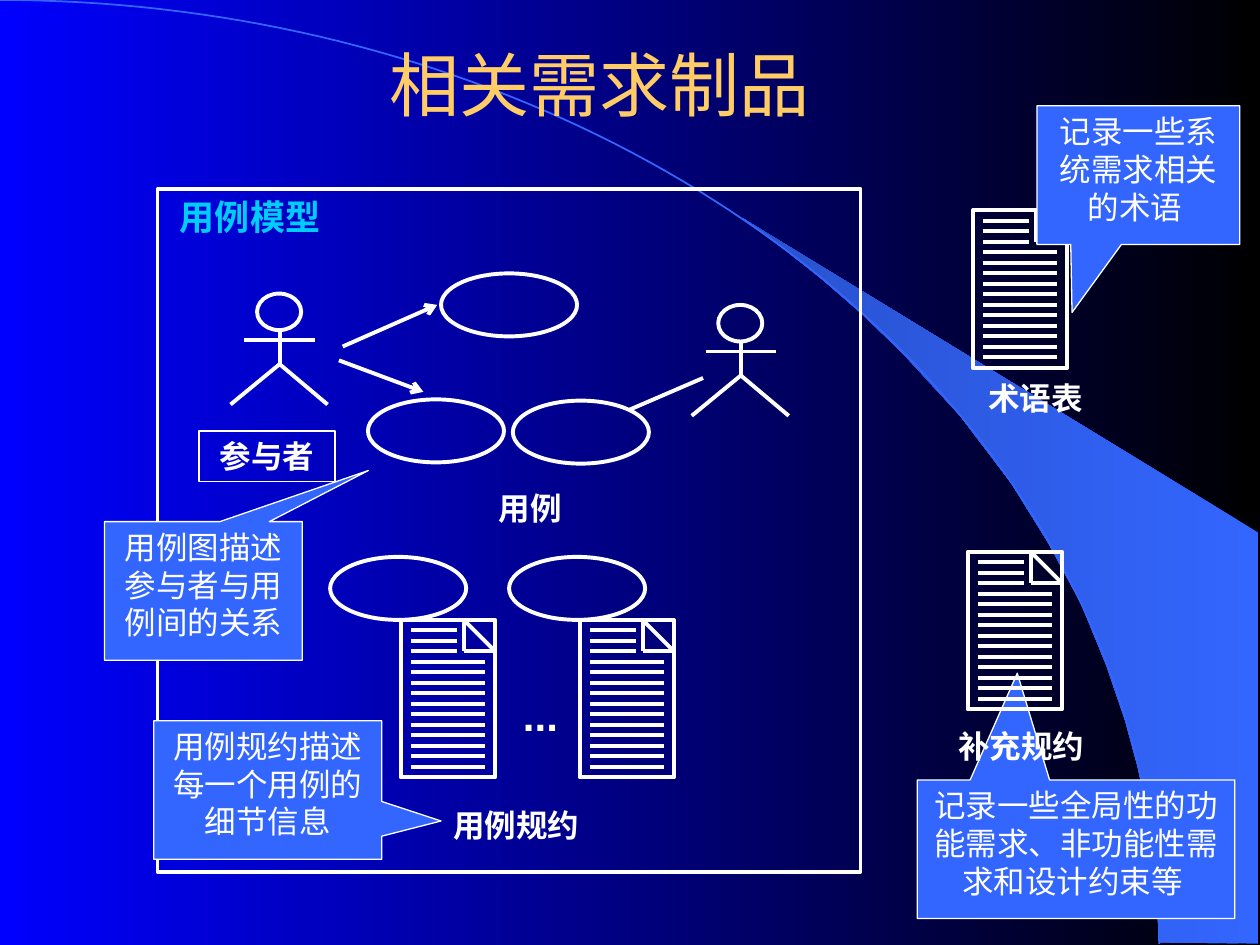
import dataclasses
import math
import typing

import lxml.etree
import pptx
import pptx.dml.color
import pptx.enum.shapes
import pptx.enum.text
import pptx.oxml.ns
import pptx.util

Inches = pptx.util.Inches
Pt = pptx.util.Pt
KIND = pptx.enum.shapes.MSO_SHAPE
ALIGN = pptx.enum.text.PP_ALIGN
ANCHOR = pptx.enum.text.MSO_ANCHOR
FIT = pptx.enum.text.MSO_AUTO_SIZE
Box = tuple[float, float, float, float]
Point = tuple[float, float]

HUES = {
    "black": "000000",
    "deep": "0000FF",
    "blue": "3366FF",
    "shade": "2851CC",
    "white": "FFFFFF",
    "gold": "FFCC66",
    "cyan": "00CCFF",
}
OVAL = (1.08, 0.5)
SWOOSH = [
    (9.2, 7.48), (9.99, 7.49), (9.99, 4.23), (5.89, 1.73), (6.24, 1.99),
    (6.53, 2.22), (6.85, 2.5), (7.16, 2.8), (7.62, 3.3), (8.03, 3.84),
    (8.32, 4.31), (8.58, 4.79), (8.78, 5.28), (8.93, 5.72), (9.03, 6.09),
    (9.13, 6.56), (9.17, 6.96), (9.2, 7.48),
]


@dataclasses.dataclass
class Label:
    text: str
    box: Box
    size: float = 18
    hue: str = "white"
    bold: bool = True
    align: typing.Any = ALIGN.CENTER
    before: float = 0
    grow: bool = True


@dataclasses.dataclass
class Callout:
    text: str
    box: Box
    tip: Point


def color(name: str) -> pptx.dml.color.RGBColor:
    return pptx.dml.color.RGBColor.from_string(HUES[name])


def blend(fill, first: str, last: str) -> None:
    fill.gradient()
    fill.gradient_angle = 180
    for stop, name in zip(fill.gradient_stops, (first, last)):
        stop.color.rgb = color(name)


def stroke(shape, width: float = 2.25, hue: str = "white") -> None:
    shape.line.color.rgb = color(hue)
    shape.line.width = Pt(width)


def outline(shapes, kind, box: Box, width: float = 2.25):
    shape = shapes.add_shape(kind, *map(Inches, box))
    shape.shadow.inherit = False
    shape.fill.background()
    stroke(shape, width)
    return shape


def trace(shapes, points: list[Point], closed: bool = False):
    spots = [(Inches(x), Inches(y)) for x, y in points]
    build = shapes.build_freeform(*spots[0])
    build.add_line_segments(spots[1:], close=closed)
    shape = build.convert_to_shape()
    shape.shadow.inherit = False
    shape.fill.background()
    return shape


def link(shapes, start: Point, end: Point, arrow: bool = False) -> None:
    line = shapes.add_connector(
        pptx.enum.shapes.MSO_CONNECTOR.STRAIGHT, *map(Inches, start + end))
    stroke(line)
    qn = pptx.oxml.ns.qn
    if arrow:
        lxml.etree.SubElement(line.line._ln, qn("a:tailEnd"), type="arrow")
    lxml.etree.SubElement(line._element.spPr, qn("a:effectLst"))


def write(shape, label: Label, anchor=ANCHOR.TOP) -> None:
    frame = shape.text_frame
    frame.word_wrap = True
    frame.vertical_anchor = anchor
    frame.auto_size = FIT.SHAPE_TO_FIT_TEXT if label.grow else FIT.NONE
    para = frame.paragraphs[0]
    para.alignment = label.align
    if label.before:
        para.space_before = Pt(label.before)
    run = para.add_run()
    run.text = label.text
    run.font.name = "Arial"
    run.font.size = Pt(label.size)
    run.font.bold = label.bold
    run.font.color.rgb = color(label.hue)


def caption(shapes, label: Label, anchor=ANCHOR.TOP) -> None:
    write(shapes.add_textbox(*map(Inches, label.box)), label, anchor)


def balloon(shapes, note: Callout) -> None:
    shape = outline(shapes, KIND.RECTANGULAR_CALLOUT, note.box, 0.75)
    shape.fill.solid()
    shape.fill.fore_color.rgb = color("blue")
    shape.adjustments[0], shape.adjustments[1] = note.tip
    write(shape, Label(note.text, note.box, bold=False, grow=False))


def page(shapes, x: float, y: float, oval: bool = False) -> None:
    group = shapes.add_group_shape().shapes
    if oval:
        outline(group, KIND.OVAL, (x - 0.56, y - OVAL[1], *OVAL))
    outline(group, KIND.RECTANGLE, (x, y, 0.75, 1.25))
    fold, inner, edge = (x + 0.5, y), (x + 0.5, y + 0.25), (x + 0.75, y + 0.25)
    for start, end in ((fold, edge), (fold, inner), (edge, inner)):
        link(group, start, end)
    for row in range(1, 15):
        level = y + row / 12
        right = x + (0.45 if row <= 3 else 0.67)
        link(group, (x + 0.08, level), (right, level))


def actor(shapes, x: float, y: float) -> None:
    group = shapes.add_group_shape().shapes
    outline(group, KIND.OVAL, (x - 0.18, y, 0.35, 0.29))
    link(group, (x, y + 0.29), (x, y + 0.56))
    link(group, (x - 0.28, y + 0.37), (x + 0.28, y + 0.37))
    stroke(trace(group, [(x - 0.39, y + 0.88), (x, y + 0.56), (x + 0.38, y + 0.88)]))


def main() -> None:
    """Build the slide of related requirement artifacts."""
    deck = pptx.Presentation()
    deck.slide_width, deck.slide_height = Inches(10), Inches(7.5)
    slide = deck.slides.add_slide(deck.slide_layouts[6])
    shapes = slide.shapes
    blend(slide.background.fill, "black", "deep")

    swoosh = trace(shapes, SWOOSH, True)
    blend(swoosh.fill, "blue", "shade")
    swoosh.line.fill.background()
    turns = [math.pi / 2 * step / 90 for step in range(91)]
    arc = [(9.2 * math.sin(turn), 7.49 * (1 - math.cos(turn))) for turn in turns]
    stroke(trace(shapes, arc), 1, "blue")

    balloon(shapes, Callout("记录一些全局性的功能需求、非功能性需求和设计约束等 ",
                            (7.28, 6.19, 2.52, 1.1), (-0.185, -1.27)))
    caption(shapes, Label("相关需求制品", (0.51, 0.28, 8.5, 0.77), 40, "gold",
                          bold=False, grow=False), ANCHOR.MIDDLE)
    page(shapes, 7.68, 4.38)
    page(shapes, 7.72, 1.67)
    outline(shapes, KIND.RECTANGLE, (1.25, 1.5, 5.58, 5.42))
    for x in (3.18, 4.6):
        page(shapes, x, 4.92, True)
    for x, y in ((2.22, 2.33), (5.88, 2.42)):
        actor(shapes, x, y)
    for spot in ((3.5, 2.17), (2.92, 3.17), (4.07, 3.18)):
        outline(shapes, KIND.OVAL, spot + OVAL)
    link(shapes, (2.72, 2.75), (3.47, 2.42), True)
    link(shapes, (2.69, 2.86), (3.36, 3.11), True)
    link(shapes, (5, 3.25), (5.58, 3))

    for label in (
        Label("补充规约", (7.2, 5.72, 1.81, 0.4)),
        Label("术语表", (7.36, 2.96, 1.72, 0.4)),
        Label("用例规约", (3.5, 6.35, 1.73, 0.4), align=ALIGN.LEFT),
        Label("...", (4.04, 5.42, 0.5, 0.5), 24, before=15),
        Label("用例模型", (1.33, 1.5, 2.42, 0.44), 20, "cyan",
              align=ALIGN.LEFT, before=12.5),
        Label("用例", (3.42, 3.83, 1.58, 0.4), before=11.2),
    ):
        caption(shapes, label)
    role = Label("参与者", (1.58, 3.42, 1.08, 0.4), before=11.2)
    write(outline(shapes, KIND.RECTANGLE, role.box, 0.75), role)

    for note in (
        Callout("用例图描述参与者与用例间的关系", (0.83, 4.14, 1.57, 1.1), (0.834, -0.869)),
        Callout("用例规约描述每一个用例的细节信息", (1.22, 5.72, 1.81, 1.1), (0.76, 0.224)),
        Callout("记录一些系统需求相关的术语 ", (8.23, 0.84, 1.61, 1.1), (-0.327, 0.991)),
    ):
        balloon(shapes, note)
    deck.save("out.pptx")


if __name__ == "__main__":
    main()
